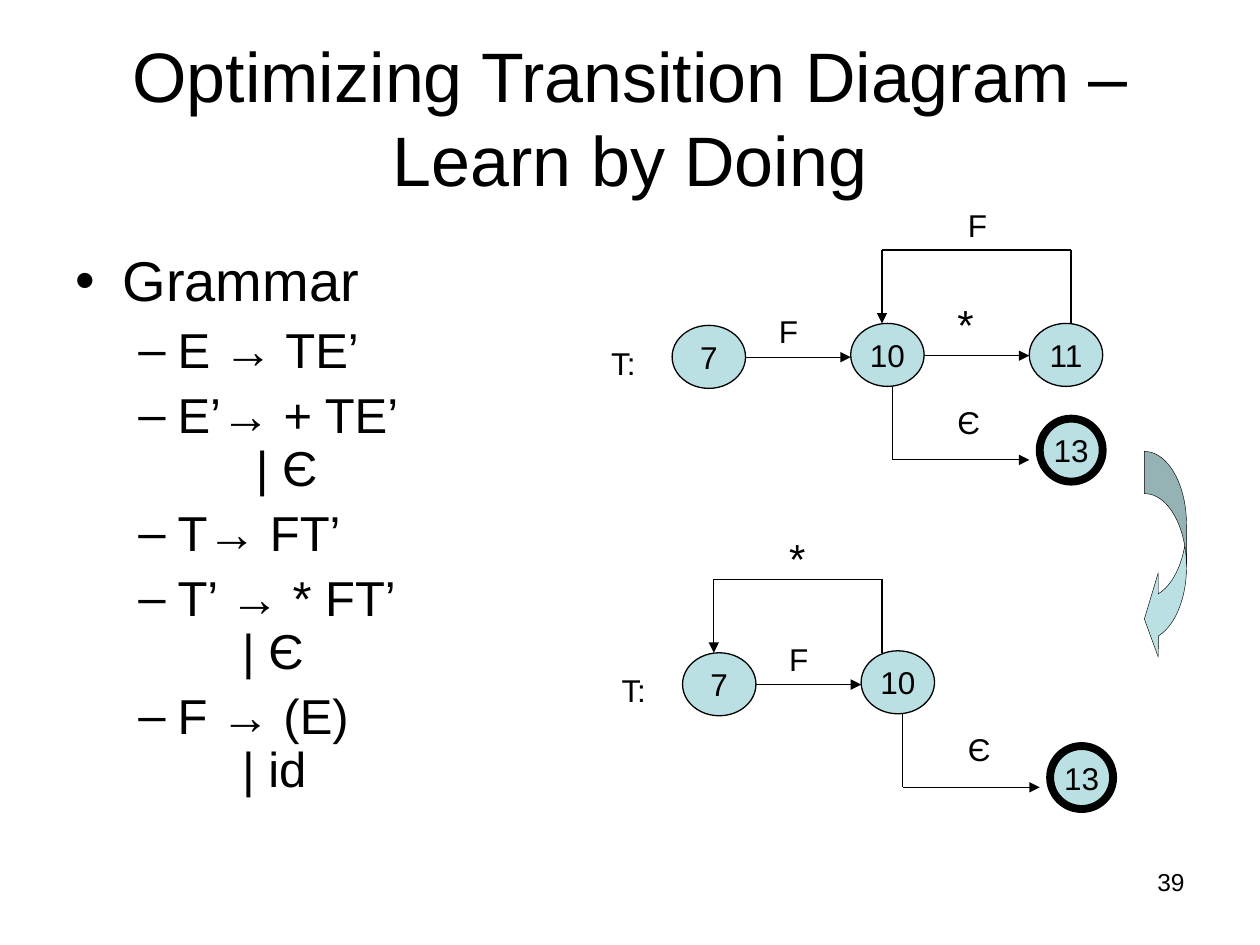
"""Build the slide on optimizing a transition diagram."""
from itertools import pairwise

from lxml import etree
from pptx import Presentation
from pptx import util as u
from pptx.dml.color import RGBColor
from pptx.enum import shapes, text
from pptx.oxml.ns import qn

COLORS = {"ink": "000000", "state": "BBE0E3"}
INK = RGBColor.from_string(COLORS["ink"])
STATE = RGBColor.from_string(COLORS["state"])
ALIGN = text.PP_ALIGN


def write(shape, words, size=18, align=ALIGN.LEFT, anchor=text.MSO_ANCHOR.TOP, wrap=True,
          paragraph=None):
    frame = shape.text_frame
    frame.word_wrap = wrap
    frame.vertical_anchor = anchor
    paragraph = paragraph or frame.paragraphs[0]
    paragraph.text = words
    paragraph.alignment = align
    for run in paragraph.runs:
        run.font.name = "Arial"
        run.font.size = u.Pt(size)
        run.font.color.rgb = INK
    return paragraph


def trace(points, arrow=True):
    for start, end in pairwise(points):
        edge = canvas.add_connector(shapes.MSO_CONNECTOR.STRAIGHT,
                                    *[u.Cm(value) for value in (*start, *end)])
        edge.line.color.rgb = INK
        edge.line.width = u.Pt(0.75)
        etree.SubElement(edge._element.spPr, qn("a:effectLst"))
    if arrow:
        etree.SubElement(edge.line._get_or_add_ln(), qn("a:tailEnd"), type="triangle")


deck = Presentation()
deck.slide_width, deck.slide_height = u.Cm(25.4), u.Cm(19.05)
canvas = deck.slides.add_slide(deck.slide_layouts[6]).shapes

title = canvas.add_textbox(u.Cm(1.27), u.Cm(0.76), u.Cm(22.86), u.Cm(3.18))
write(title, "Optimizing Transition Diagram – Learn by Doing", size=40,
      align=ALIGN.CENTER, anchor=text.MSO_ANCHOR.MIDDLE)

grammar = canvas.add_textbox(u.Cm(1.27), u.Cm(4.98), u.Cm(9.96), u.Cm(12.57))
rules = [
    ("Grammar", None),
    ("E → TE’", None),
    ("E’→ + TE’\v\t| Є", 3.64),
    ("T→ FT’", None),
    ("T’ → * FT’\v\t| Є", 3.36),
    ("F → (E)\v\t| id", 3.36),
]
for index, (rule, tab) in enumerate(rules):
    heading = index == 0
    paragraph = grammar.text_frame.paragraphs[0] if heading else grammar.text_frame.add_paragraph()
    paragraph.level = 0 if heading else 1
    paragraph.line_spacing = 0.9
    paragraph.space_before = u.Pt(0 if heading else 7)
    margins = paragraph._p.get_or_add_pPr()
    margins.set("marL", str(u.Cm(0.95 if heading else 2.06)))
    margins.set("indent", str(u.Cm(-0.95 if heading else -0.79)))
    etree.SubElement(margins, qn("a:buFont"), typeface="Arial")
    etree.SubElement(margins, qn("a:buChar"), char="•" if heading else "–")
    if tab:
        stops = etree.SubElement(margins, qn("a:tabLst"))
        etree.SubElement(stops, qn("a:tab"), pos=str(u.Cm(tab)), algn="l")
    write(grammar, rule, size=32 if heading else 28, paragraph=paragraph)

states = [("11", 20.75, 6.52, 1.48, 0.75)]
labels = [("*", 19.05, 5.9, 1.27, 24), ("F", 19.26, 4.02, 1.06, 18),
          ("*", 15.66, 10.62, 1.27, 24)]
trace([(18.63, 7.17), (20.75, 7.17)])
trace([(21.59, 6.52), (21.59, 5.04), (17.78, 5.04), (17.78, 6.52)])
trace([(17.78, 13.16), (17.78, 11.68), (14.39, 11.68), (14.39, 13.16)])

for dx, dy in [(0, 0), (0.21, 6.6)]:
    states += [("7", 13.55 + dx, 6.56 + dy, 1.48, 0.75),
               ("10", 17.15 + dx, 6.52 + dy, 1.48, 0.75),
               ("13", 20.96 + dx, 8.44 + dy, 1.27, 4.5)]
    labels += [("T:", 12.07 + dx, 6.81 + dy, 1.48, 18),
               ("F", 15.45 + dx, 6.17 + dy, 1.27, 18),
               ("Є", 19.05 + dx, 8 + dy, 0.85, 18)]
    trace([(15.03 + dx, 7.2 + dy), (17.15 + dx, 7.2 + dy)])
    trace([(17.99 + dx, 7.8 + dy), (17.99 + dx, 9.27 + dy), (20.75 + dx, 9.27 + dy)])

for number, left, top, width, border in states:
    state = canvas.add_shape(shapes.MSO_SHAPE.OVAL, u.Cm(left), u.Cm(top), u.Cm(width), u.Cm(1.27))
    state.shadow.inherit = False
    state.fill.solid()
    state.fill.fore_color.rgb = STATE
    state.line.color.rgb = INK
    state.line.width = u.Pt(border)
    write(state, number, align=ALIGN.CENTER, anchor=text.MSO_ANCHOR.MIDDLE, wrap=False)

for symbol, left, top, width, size in labels:
    label = canvas.add_textbox(u.Cm(left), u.Cm(top), u.Cm(width), u.Cm(size * 0.05 + 0.1))
    write(label, symbol, size=size)

optimize = canvas.add_shape(shapes.MSO_SHAPE.CURVED_LEFT_ARROW,
                            u.Cm(23.07), u.Cm(9.1), u.Cm(0.85), u.Cm(4.23))
for index, amount in enumerate((1, 2, 0.33)):
    optimize.adjustments[index] = amount
optimize.shadow.inherit = False
optimize.fill.solid()
optimize.fill.fore_color.rgb = STATE
optimize.line.color.rgb = INK
optimize.line.width = u.Pt(0.25)

page = canvas.add_textbox(u.Cm(18.2), u.Cm(17.35), u.Cm(5.93), u.Cm(1.32))
write(page, "39", size=14, align=ALIGN.RIGHT)

deck.save("out.pptx")
